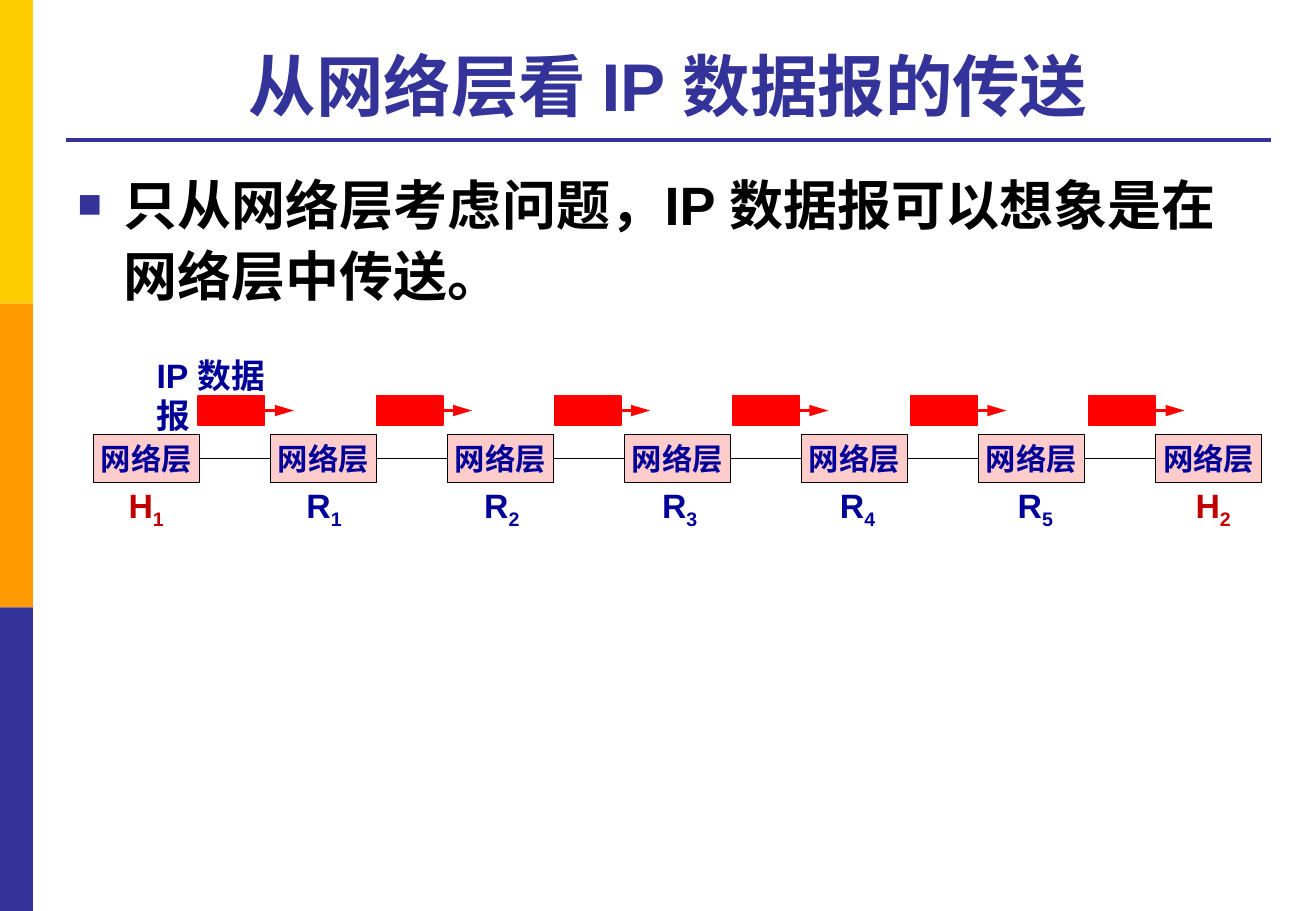
from lxml import etree
from pptx import Presentation
from pptx.dml.color import RGBColor
from pptx.enum.shapes import MSO_CONNECTOR, MSO_SHAPE
from pptx.enum.text import MSO_ANCHOR, MSO_AUTO_SIZE, PP_ALIGN
from pptx.oxml.ns import qn
from pptx.util import Inches, Pt

RECTANGLE = MSO_SHAPE.RECTANGLE
STRAIGHT = MSO_CONNECTOR.STRAIGHT
CENTER = PP_ALIGN.CENTER
LEFT = PP_ALIGN.LEFT
MIDDLE = MSO_ANCHOR.MIDDLE
TOP = MSO_ANCHOR.TOP
BOTTOM = MSO_ANCHOR.BOTTOM
NO_AUTOFIT = MSO_AUTO_SIZE.NONE

WIDTH, HEIGHT = Inches(10.83), Inches(7.5)
INDIGO, NAVY, RED, BLACK = "333399", "000099", "FF0000", "000000"
STATIONS = [("H", "1"), ("R", "1"), ("R", "2"), ("R", "3"),
            ("R", "4"), ("R", "5"), ("H", "2")]


def color(value):
    return RGBColor.from_string(value)


def x(percent):
    return round(WIDTH * percent / 100)


def y(percent):
    return round(HEIGHT * percent / 100)


def place(left, top, width, height):
    return x(left), y(top), x(width), y(height)


def spread(first, last, count):
    return [first + (last - first) * i / (count - 1) for i in range(count)]


def style_font(font, size, value):
    font.name = "Arial"
    font.size = Pt(size)
    font.bold = True
    font.color.rgb = color(value)


def write(shape, text, size, value, align=LEFT, anchor=TOP, wrap=True):
    frame = shape.text_frame
    frame.text = text
    frame.word_wrap = wrap
    frame.auto_size = NO_AUTOFIT
    frame.vertical_anchor = anchor
    paragraph = frame.paragraphs[0]
    paragraph.alignment = align
    style_font(paragraph.runs[0].font, size, value)
    return paragraph


def add_block(slide, box, fill, outline=None):
    block = slide.shapes.add_shape(RECTANGLE, *place(*box))
    block.shadow.inherit = False
    block.fill.solid()
    block.fill.fore_color.rgb = color(fill)
    if outline:
        block.line.color.rgb = color(outline)
        block.line.width = Pt(0.75)
    else:
        block.line.fill.background()
    return block


def add_line(slide, start, end, value, weight):
    line = slide.shapes.add_connector(
        STRAIGHT, x(start[0]), y(start[1]), x(end[0]), y(end[1]))
    line.line.color.rgb = color(value)
    line.line.width = Pt(weight)
    etree.SubElement(line._element.spPr, qn("a:effectLst"))
    return line


def add_side_band(slide, box):
    left, top, width, height = box
    stripe = height / 3
    for i, fill in enumerate(("FFCC00", "FF9900", INDIGO)):
        add_block(slide, (left, top + i * stripe, width, stripe), fill)


def add_heading(slide, box):
    left, top, width, height = box
    title = slide.shapes.title
    title.left, title.top, title.width, title.height = place(*box)
    write(title, "从网络层看 IP 数据报的传送", 40, INDIGO, CENTER, BOTTOM)
    rule = top + height + 0.95
    add_line(slide, (left, rule), (left + width, rule), INDIGO, 2.25)


def add_statement(slide, box):
    statement = slide.shapes.add_textbox(*place(*box))
    paragraph = write(
        statement, "只从网络层考虑问题，IP 数据报可以想象是在网络层中传送。", 32, BLACK)
    paragraph.line_spacing = 1.1
    properties = paragraph._p.get_or_add_pPr()
    properties.set("marL", str(Inches(0.38)))
    properties.set("indent", str(-Inches(0.38)))
    bullet_color = etree.SubElement(properties, qn("a:buClr"))
    etree.SubElement(bullet_color, qn("a:srgbClr"), val=INDIGO)
    etree.SubElement(properties, qn("a:buSzPct"), val="75000")
    etree.SubElement(properties, qn("a:buFont"), typeface="Arial")
    etree.SubElement(properties, qn("a:buChar"), char="■")


def add_station_name(slide, box, letter, number):
    value = "C00000" if letter == "H" else NAVY
    name = slide.shapes.add_textbox(*place(*box))
    paragraph = write(name, letter, 20, value, wrap=False)
    subscript = paragraph.add_run()
    subscript.text = number
    style_font(subscript.font, 20, value)
    subscript._r.get_or_add_rPr().set("baseline", "-25000")


def add_packet(slide, box):
    left, top, width, height = box
    packet = add_block(slide, box, RED, RED)
    middle = top + height / 2
    arrow = add_line(slide, (left + width, middle),
                     (left + width + 2.2, middle), RED, 2.25)
    arrow.begin_connect(packet, 3)
    etree.SubElement(arrow.line._get_or_add_ln(), qn("a:tailEnd"),
                     type="triangle", w="med", len="lg")


def add_network(slide, box):
    left, top, width, height = box
    count = len(STATIONS)
    node_width, node_height = 8.03, 5.2
    node_top = top + 9.46
    layers = []
    for node_left in spread(left, left + width - node_width, count):
        layer = add_block(slide, (node_left, node_top, node_width, node_height),
                          "FFCCCC", BLACK)
        write(layer, "网络层", 18, NAVY, CENTER, MIDDLE, wrap=False)
        layers.append(layer)
    for sender, receiver in zip(layers, layers[1:]):
        link = add_line(slide, (left, node_top), (left, node_top), BLACK, 0.75)
        link.begin_connect(sender, 3)
        link.end_connect(receiver, 1)

    datagram = slide.shapes.add_textbox(*place(left + 3.88, top, 11.5, 9))
    write(datagram, "IP 数据报", 20, NAVY)

    name_height = 5.87
    names = spread(left + 1.75, left + 82.83, count)
    for name_left, (letter, number) in zip(names, STATIONS):
        add_station_name(
            slide, (name_left, top + height - name_height, 4.71, name_height),
            letter, number)
    for packet_left in spread(left + 7.94, left + 75.62, count - 1):
        add_packet(slide, (packet_left, top + 5.2, 5.08, 3.2))


def main():
    deck = Presentation()
    deck.slide_width, deck.slide_height = WIDTH, HEIGHT
    slide = deck.slides.add_slide(deck.slide_layouts[5])
    add_side_band(slide, (0, 0, 2.5, 100))
    add_heading(slide, (5, 2.8, 91.55, 11.6))
    add_statement(slide, (5, 17.47, 91.55, 72))
    add_network(slide, (7.11, 38.27, 88.74, 20.13))
    deck.save("out.pptx")


if __name__ == "__main__":
    main()
